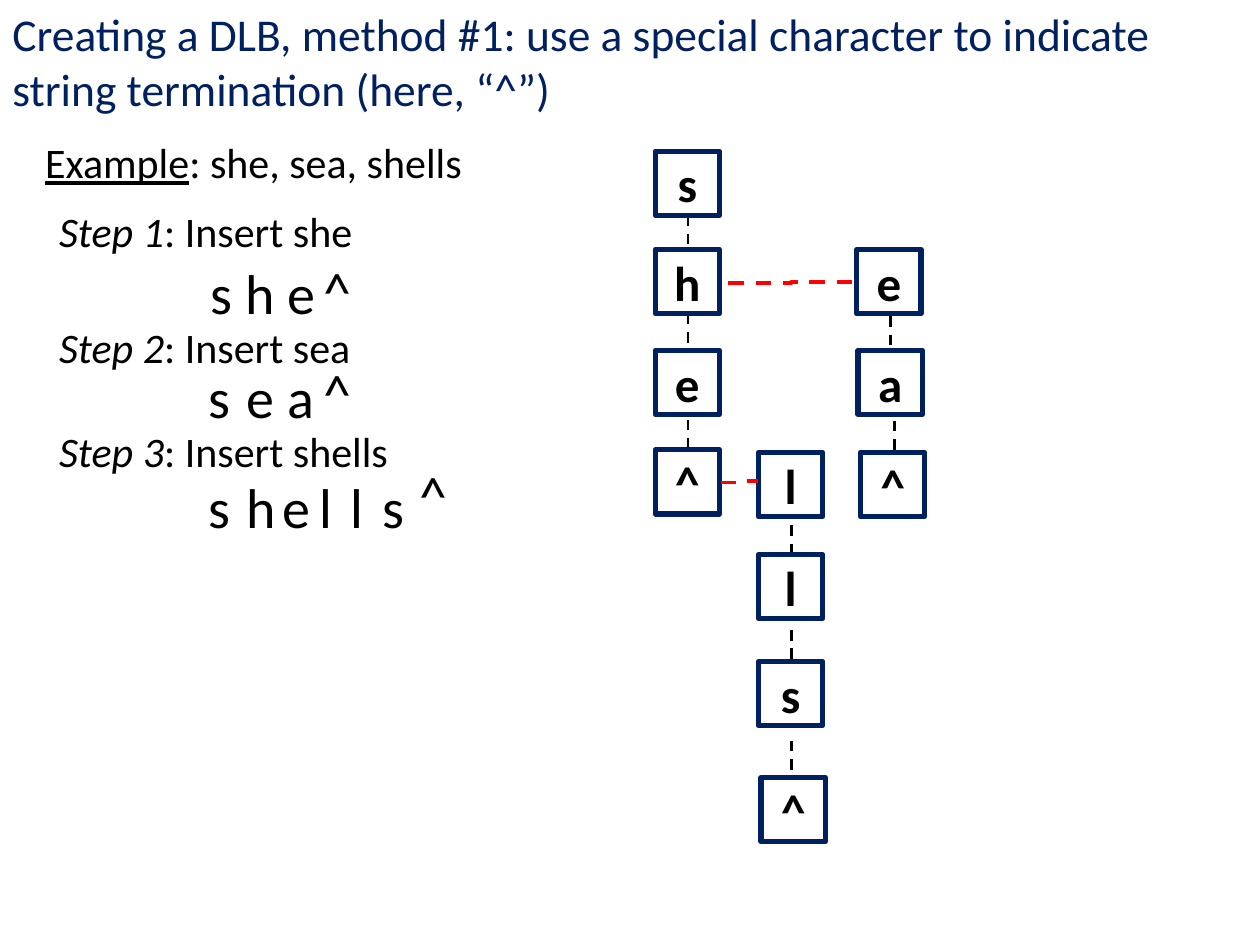
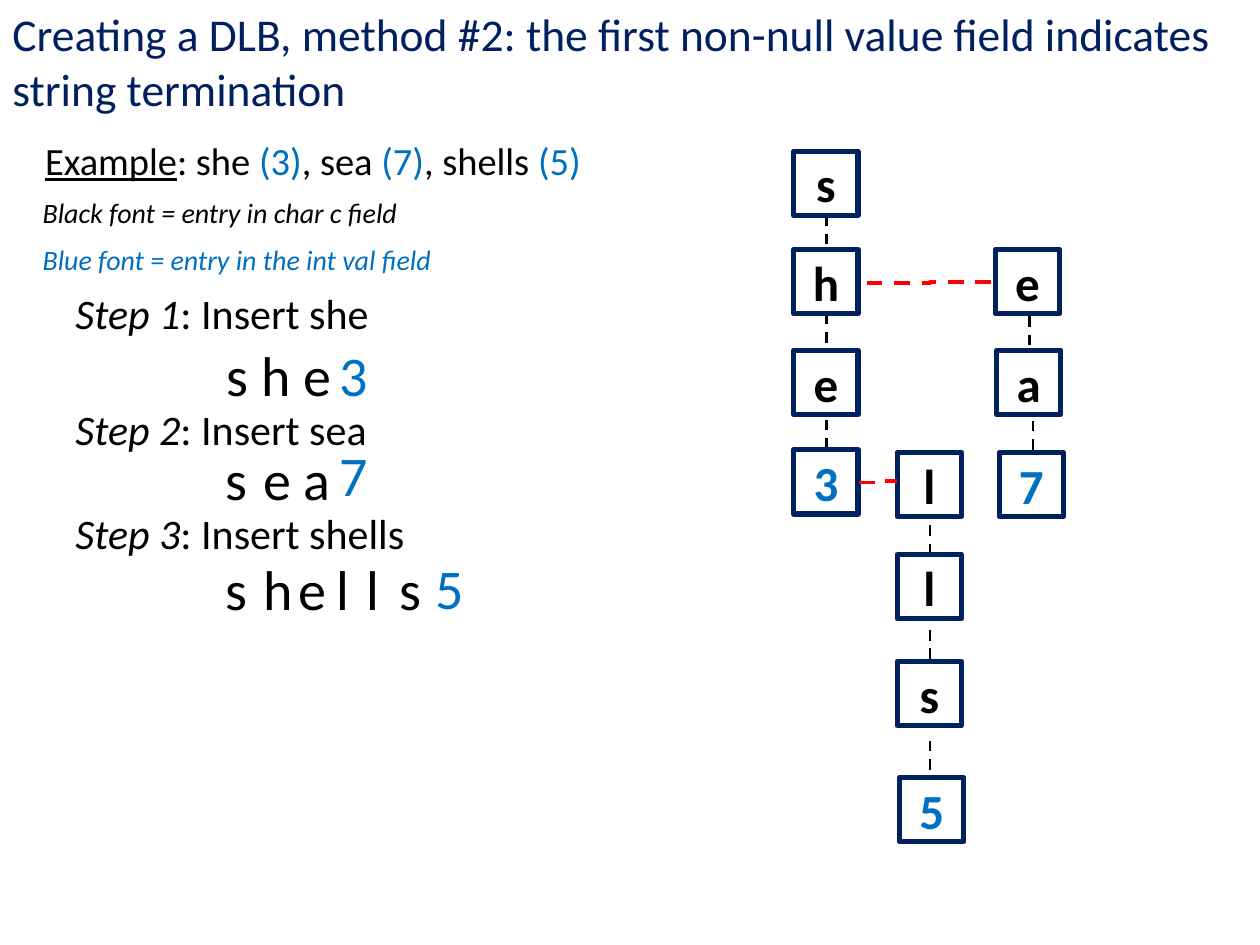
from lxml.etree import SubElement
from pptx import Presentation
from pptx.dml.color import RGBColor
from pptx.enum.dml import MSO_LINE
from pptx.enum.shapes import MSO_CONNECTOR, MSO_SHAPE
from pptx.enum.text import MSO_ANCHOR, MSO_AUTO_SIZE, PP_ALIGN
from pptx.oxml.ns import qn
from pptx.util import Inches, Pt

NAVY = RGBColor(0x00, 0x20, 0x60)
BLUE = RGBColor(0x00, 0x70, 0xC0)
BLACK = RGBColor(0, 0, 0)
RED = RGBColor(0xFF, 0, 0)

# A run is (text, colour, format); a paragraph is a list of runs.
UNDER, SLANT = {"underline": True}, {"italic": True}
PAGES = [
    {"title": "Creating a DLB, method #1: use a special character to "
              "indicate string termination (here, “^”)",
     "words": [("Example", BLACK, UNDER), (": she, sea, shells", BLACK, {})],
     "words size": 24, "words width": 4.06, "key": [],
     "ends": "^^^", "end colour": BLACK, "end rows": (0.36, 1.17, 1.98),
     "steps at": (0.37, 1.63), "tree left": 5.2},
    {"title": "Creating a DLB, method #2: the first non-null value field "
              "indicates string termination",
     "words": [("Example", BLACK, UNDER), (": she ", BLACK, {}),
               ("(3)", BLUE, {}), (", sea ", BLACK, {}), ("(7)", BLUE, {}),
               (", shells ", BLACK, {}), ("(5)", BLUE, {})],
     "words size": 22, "words width": 4.54,
     "key": [[("Black font = entry in char c field", BLACK, SLANT)],
             [("Blue font = entry in the int val field", BLUE, SLANT)]],
     "ends": "375", "end colour": BLUE, "end rows": (0.37, 1.17, 2.06),
     "steps at": (0.5, 2.28), "tree left": 6.3},
]

# Word, heading row, letter row, letter columns (the last is the end mark).
STEPS = [
    ("she", 0, 0.37, (1.2, 1.48, 1.81, 2.1)),
    ("sea", 0.92, 1.2, (1.19, 1.49, 1.81, 2.1)),
    ("shells", 1.74, 2.07, (1.19, 1.49, 1.77, 2.07, 2.31, 2.57, 2.86)),
]
WIDTHS = {"s": 0.38, "h": 0.44, "e": 0.42, "a": 0.42, "l": 0.38}
END_W, LINE_H, BODY_H = 0.43, 0.64, 0.55

# Branches of the tree: letters, index of the end mark, lefts, tops.
NODE = 0.51
TREE = [
    ("she", 0, (0, 0, 0, 0), (1.2, 1.98, 2.78, 3.57)),
    ("ea", 1, (1.6, 1.61, 1.63), (1.98, 2.78, 3.59)),
    ("lls", 2, (0.82, 0.82, 0.82, 0.84), (3.59, 4.4, 5.25, 6.17)),
]
# Child links: column, then start and end rows.
DOWN = [(0.26, 1.71, 1.98), (0.26, 2.49, 2.78), (0.26, 3.56, 3.29),
        (1.87, 2.51, 2.8), (1.9, 3.57, 3.31),
        (1.08, 4.4, 4.13), (1.08, 5.23, 4.97), (1.08, 6.11, 5.85)]
# Sibling links: start and end columns, start and end rows.
SIDE = [(0.58, 1.58, 2.25, 2.24), (0.52, 0.82, 3.83, 3.82)]


def write(frame, paras, size, form=None):
    """Fill a text frame with paragraphs of coloured runs."""
    for num, runs in enumerate(paras):
        para = frame.add_paragraph() if num else frame.paragraphs[0]
        for name, value in (form or {}).items():
            setattr(para, name, value)
        for text, colour, style in runs:
            run = para.add_run()
            run.text = text
            look = {"name": "Calibri", "size": Pt(size), **style}
            for name, value in look.items():
                setattr(run.font, name, value)
            run.font.color.rgb = colour


def label(slide, at, paras, size, form=None, wrap=True, grow=False):
    """Add a text box at left, top, width, height."""
    frame = slide.shapes.add_textbox(*map(Inches, at)).text_frame
    frame.word_wrap = wrap
    frame.auto_size = (MSO_AUTO_SIZE.SHAPE_TO_FIT_TEXT if grow
                       else MSO_AUTO_SIZE.NONE)
    write(frame, paras, size, form)


def node(slide, left, top, char, colour):
    """Add one square tree node."""
    box = slide.shapes.add_shape(
        MSO_SHAPE.RECTANGLE, *map(Inches, (left, top, NODE, NODE)))
    box.shadow.inherit = False
    box.fill.background()
    box.line.color.rgb = NAVY
    box.line.width = Pt(3)
    box.text_frame.vertical_anchor = MSO_ANCHOR.MIDDLE
    write(box.text_frame, [[(char, colour, {"bold": True})]], 28,
          {"alignment": PP_ALIGN.CENTER})


def link(slide, kind, ends, colour, width):
    """Add a dashed connector without shadow."""
    wire = slide.shapes.add_connector(kind, *map(Inches, ends))
    wire.line.color.rgb = colour
    wire.line.width = Pt(width)
    wire.line.dash_style = MSO_LINE.DASH
    SubElement(wire.element.spPr, qn("a:effectLst"))


def steps(slide, page):
    """Write the step headings and the spaced letters below them."""
    left, top = page["steps at"]
    rows = zip(STEPS, page["ends"], page["end rows"])
    for num, ((word, head, row, cols), end, low) in enumerate(rows, 1):
        label(slide, (left, top + head, 3.08, BODY_H),
              [[(f"Step {num}", BLACK, SLANT),
                (f": Insert {word}", BLACK, {})]], 24, BODY)
        for char, col in zip(word, cols):
            label(slide, (left + col, top + row, WIDTHS[char], LINE_H),
                  [[(char, BLACK, {})]], 32, wrap=char == "l", grow=True)
        label(slide, (left + cols[-1], top + low, END_W, LINE_H),
              [[(end, page["end colour"], {})]], 32, wrap=False, grow=True)


def tree(slide, page):
    """Draw the links and nodes of the tree."""
    left = page["tree left"]
    for col, start, stop in DOWN:
        link(slide, MSO_CONNECTOR.STRAIGHT,
             (left + col, start, left + col, stop), BLACK, 1.5)
    for word, end, cols, tops in TREE:
        chars = [(char, BLACK) for char in word]
        chars.append((page["ends"][end], page["end colour"]))
        for (char, colour), col, top in zip(chars, cols, tops):
            node(slide, left + col, top, char, colour)
    for first, last, start, stop in SIDE:
        link(slide, MSO_CONNECTOR.ELBOW,
             (left + first, start, left + last, stop), RED, 2.25)


BODY = {"line_spacing": 0.9, "space_before": Pt(10)}
deck = Presentation()
deck.slide_width, deck.slide_height = Inches(10), Inches(7.5)
for page in PAGES:
    slide = deck.slides.add_slide(deck.slide_layouts[6])
    label(slide, (0, 0, 9.81, 0.98), [[(page["title"], NAVY, {})]], 26,
          grow=True)
    label(slide, (0.26, 1.08, page["words width"], BODY_H),
          [page["words"]], page["words size"], BODY)
    if page["key"]:
        label(slide, (0.24, 1.53, 4.54, BODY_H), page["key"], 16, BODY)
    steps(slide, page)
    tree(slide, page)
deck.save("out.pptx")
